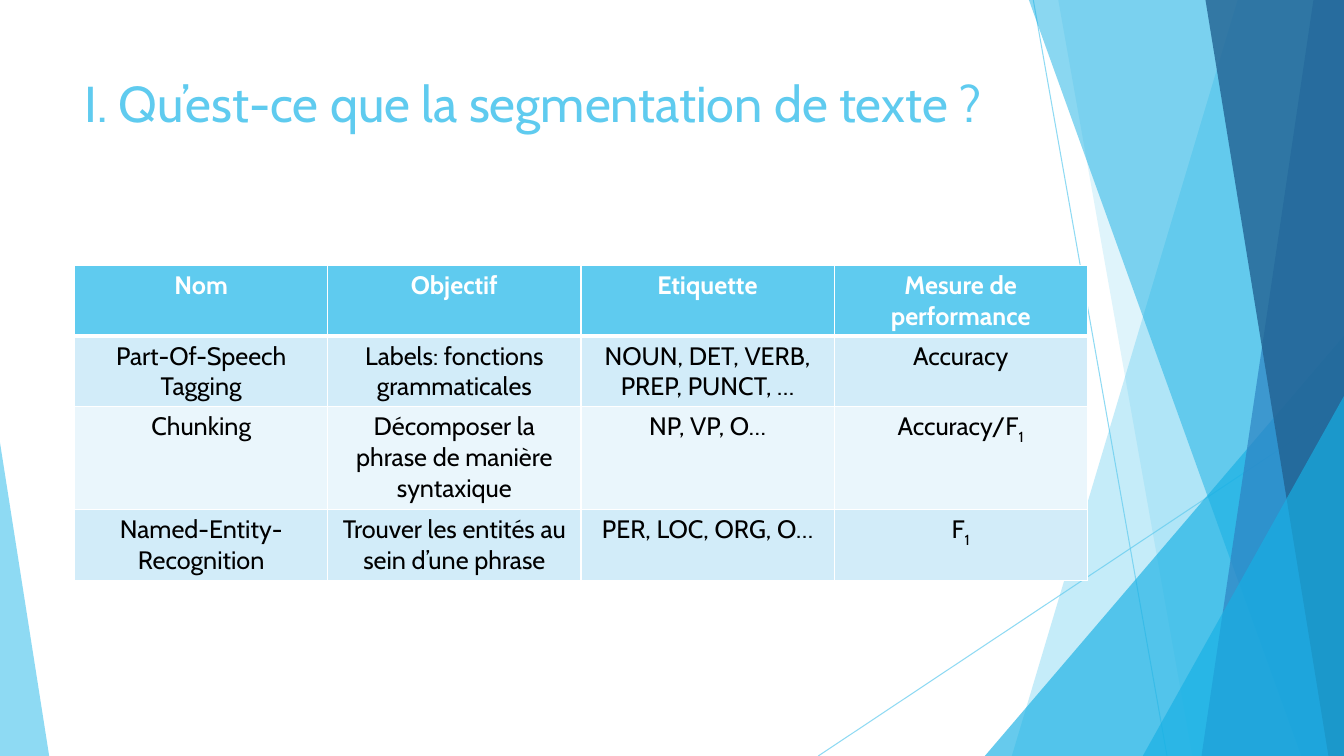
from dataclasses import dataclass

from pptx import Presentation
from pptx.dml.color import RGBColor
from pptx.enum.shapes import MSO_CONNECTOR as Link, MSO_SHAPE as Shape
from pptx.enum.text import MSO_ANCHOR as Anchor, PP_ALIGN as Align
from pptx.oxml.ns import qn
from pptx.util import Cm, Pt
from lxml.etree import SubElement

SKY = RGBColor(0x5F, 0xCB, 0xEF)
CYAN = RGBColor(0x17, 0xB0, 0xE4)
BLUE = RGBColor(0x2E, 0x83, 0xC3)
NAVY = RGBColor(0x22, 0x62, 0x92)
PALE = RGBColor(0xD2, 0xEC, 0xF9)
ICE = RGBColor(0xEA, 0xF6, 0xFC)
WHITE = RGBColor(0xFF, 0xFF, 0xFF)
BLACK = RGBColor(0, 0, 0)
FONT = "Cabin"
WIDE, HIGH = 33.87, 19.05


@dataclass
class Ray:
    x1: float
    y1: float
    x2: float
    y2: float


@dataclass
class Panel:
    """A band from its slanted left side to the slide's right edge."""
    top: float
    foot: float
    color: RGBColor
    alpha: int


@dataclass
class Wedge:
    """A right triangle that stands on the slide's bottom edge."""
    left: float
    top: float
    width: float
    peak: int
    color: RGBColor
    alpha: int


RAYS = [Ray(26.04, 0, 29.41, HIGH), Ray(WIDE, 10.24, 20.62, HIGH)]
DECOR = [
    Panel(31.19, 25.5, SKY, 36),
    Panel(26.67, 30.05, SKY, 20),
    Wedge(24.82, 8.46, 9.05, 1, CYAN, 66),
    Panel(25.93, 32.79, CYAN, 50),
    Panel(33.1, 30.28, BLUE, 70),
    Panel(30.38, 33.48, NAVY, 80),
    Wedge(28.8, 9.98, 5.07, 1, CYAN, 66),
    Wedge(0, 11.15, 1.24, 0, SKY, 70),
]

# An underscore starts a subscript
ROWS = [
    ["Nom", "Objectif", "Etiquette", "Mesure de performance"],
    ["Part-Of-Speech Tagging", "Labels: fonctions grammaticales",
     "NOUN, DET, VERB, PREP, PUNCT, …", "Accuracy"],
    ["Chunking", "Décomposer la phrase de manière syntaxique",
     "NP, VP, O…", "Accuracy/F_1"],
    ["Named-Entity-Recognition", "Trouver les entités au sein d’une phrase",
     "PER, LOC, ORG, O…", "F_1"],
]
FILLS = [SKY, PALE, ICE, PALE]
HEIGHTS = [1.78, 1.78, 2.6, 1.78]


def fade(shape, alpha: int) -> None:
    for color in shape.element.spPr.iter(qn("a:srgbClr")):
        SubElement(color, qn("a:alpha")).set("val", str(alpha * 1000))


def style(run, size: int, color: RGBColor, bold: bool = False) -> None:
    font = run.font
    font.name, font.size, font.bold = FONT, Pt(size), bold
    font.color.rgb = color


def draw_ray(slide, ray: Ray) -> None:
    line = slide.shapes.add_connector(
        Link.STRAIGHT, Cm(ray.x1), Cm(ray.y1), Cm(ray.x2), Cm(ray.y2))
    line.line.color.rgb = SKY
    line.line.width = Pt(0.75)
    fade(line, 70)
    SubElement(line.element.spPr, qn("a:effectLst"))


def draw_decor(slide, part: Panel | Wedge) -> None:
    if isinstance(part, Panel):
        pen = slide.shapes.build_freeform(Cm(part.top), 0)
        pen.add_line_segments([(Cm(WIDE), 0), (Cm(WIDE), Cm(HIGH)),
                               (Cm(part.foot), Cm(HIGH))], close=True)
        shape = pen.convert_to_shape()
    else:
        shape = slide.shapes.add_shape(
            Shape.ISOSCELES_TRIANGLE, Cm(part.left), Cm(part.top),
            Cm(part.width), Cm(HIGH - part.top))
        shape.adjustments[0] = part.peak
    shape.shadow.inherit = False
    shape.fill.solid()
    shape.fill.fore_color.rgb = part.color
    shape.line.fill.background()
    fade(shape, part.alpha)


def draw_title(slide, text: str) -> None:
    box = slide.shapes.add_textbox(Cm(1.88), Cm(1.7), Cm(23.88), Cm(3.66))
    frame = box.text_frame
    frame.word_wrap = True
    frame.vertical_anchor = Anchor.TOP
    frame.text = text
    style(frame.paragraphs[0].runs[0], 36, SKY)


def edge(cell, side: str, width: float) -> None:
    props = cell._tc.get_or_add_tcPr()
    line = SubElement(props, qn(f"a:ln{side}"), w=str(Pt(width)))
    fill = SubElement(line, qn("a:solidFill"))
    SubElement(fill, qn("a:srgbClr"), val=str(WHITE))


def fill_cell(cell, text: str, row: int) -> None:
    main, _, sub = text.partition("_")
    cell.text_frame.text = main
    para = cell.text_frame.paragraphs[0]
    para.alignment = Align.CENTER
    if sub:
        low = para.add_run()
        low.text = sub
        low._r.get_or_add_rPr().set("baseline", "-25000")
    head = row == 0
    for run in para.runs:
        style(run, 18, WHITE if head else BLACK, head)
    # Borders go before the fill
    widths = {"L": 1, "R": 1, "T": 3 if row == 1 else 1, "B": 3 if head else 1}
    for side, width in widths.items():
        edge(cell, side, width)
    cell.fill.solid()
    cell.fill.fore_color.rgb = FILLS[row]


def draw_table(slide) -> None:
    table = slide.shapes.add_table(
        len(ROWS), len(ROWS[0]), Cm(1.88), Cm(6.68),
        Cm(25.52), Cm(sum(HEIGHTS))).table
    table.horz_banding = False
    for r, texts in enumerate(ROWS):
        table.rows[r].height = Cm(HEIGHTS[r])
        for c, text in enumerate(texts):
            fill_cell(table.cell(r, c), text, r)


def main() -> None:
    deck = Presentation()
    deck.slide_width, deck.slide_height = Cm(WIDE), Cm(HIGH)
    slide = deck.slides.add_slide(deck.slide_layouts[6])
    # Background facets
    for ray in RAYS:
        draw_ray(slide, ray)
    for part in DECOR:
        draw_decor(slide, part)
    # Content
    draw_title(slide, "I. Qu’est-ce que la segmentation de texte ?")
    draw_table(slide)
    deck.save("out.pptx")


if __name__ == "__main__":
    main()
